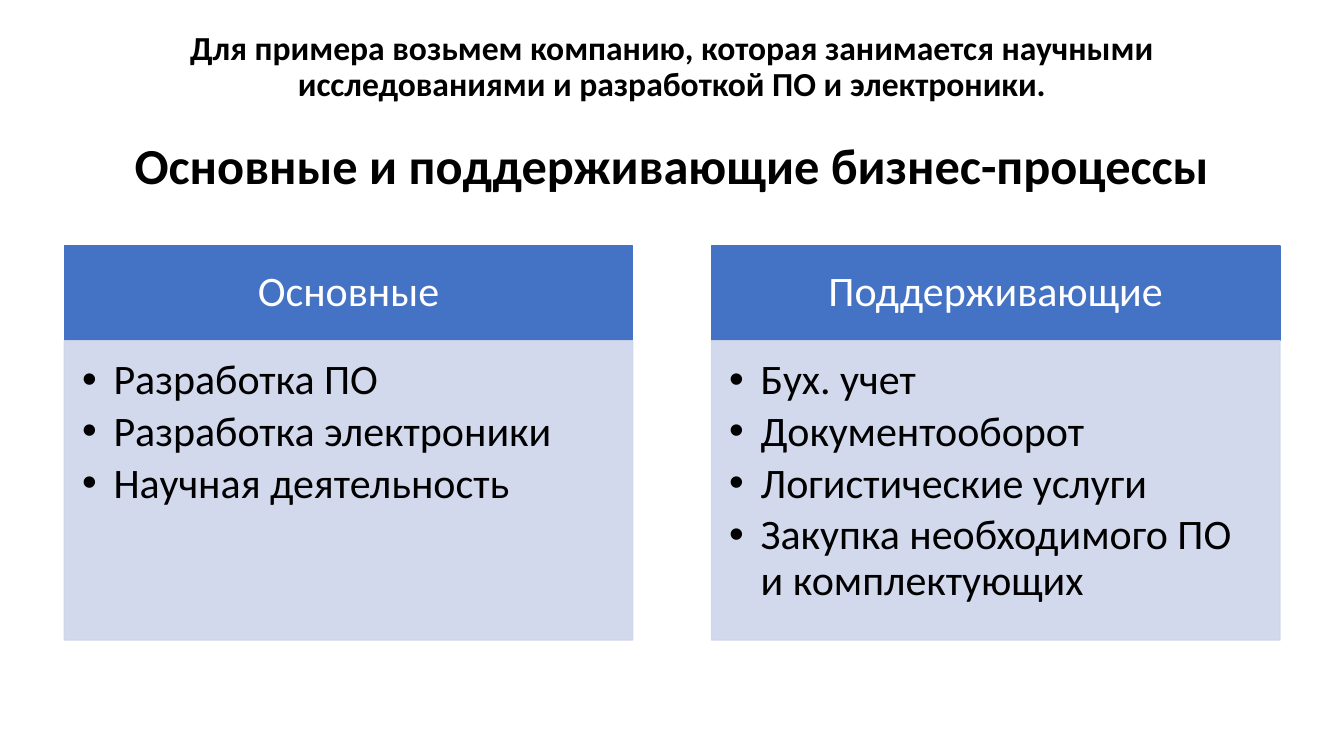
from lxml import etree
from pptx import Presentation
from pptx.dml.color import RGBColor
from pptx.enum.shapes import MSO_SHAPE
from pptx.enum.text import MSO_ANCHOR, PP_ALIGN
from pptx.oxml.ns import qn
from pptx.util import Pt

RECT = MSO_SHAPE.RECTANGLE
TOP, MIDDLE = MSO_ANCHOR.TOP, MSO_ANCHOR.MIDDLE
LEFT, CENTER = PP_ALIGN.LEFT, PP_ALIGN.CENTER

FONT = "Calibri"
BLACK, WHITE, BLUE, PALE = "000000", "FFFFFF", "4472C4", "CFD5EA"
COLUMN_LEFT, COLUMN_WIDTH, COLUMN_STEP = 46, 406, 462.25
HEAD_TOP, HEAD_HEIGHT, BODY_HEIGHT = 175.7, 67.7, 213.8

INTRO = ("Для примера возьмем компанию, которая занимается научными "
         "исследованиями и разработкой ПО и электроники.")
TITLE = "Основные и поддерживающие бизнес-процессы"
COLUMNS = [
    ("Основные",
     ["Разработка ПО", "Разработка электроники", "Научная деятельность"]),
    ("Поддерживающие",
     ["Бух. учет", "Документооборот", "Логистические услуги",
      "Закупка необходимого ПО и комплектующих"]),
]


def rgb(value):
    """Turn a hex string into a colour."""
    return RGBColor.from_string(value)


def set_frame(tf, anchor, insets):
    """Set wrapping, anchor and the left, top, right and bottom insets."""
    tf.word_wrap = True
    tf.vertical_anchor = anchor
    for side, inset in zip(("left", "top", "right", "bottom"), insets):
        setattr(tf, f"margin_{side}", Pt(inset))


def write(p, text, size, color, bold=False, **layout):
    """Fill a paragraph with one formatted run."""
    for name, value in {"line_spacing": 0.9, **layout}.items():
        setattr(p, name, value)
    r = p.add_run()
    r.text = text
    fmt = {"name": FONT, "size": Pt(size), "bold": bold}
    for name, value in fmt.items():
        setattr(r.font, name, value)
    r.font.color.rgb = rgb(color)


def add_bullet(p, indent):
    """Give a paragraph a round bullet with a hanging indent."""
    pPr = p._p.get_or_add_pPr()
    pPr.set("marL", str(Pt(indent)))
    pPr.set("indent", str(-Pt(indent)))
    etree.SubElement(pPr, qn("a:buFont")).set("typeface", "Arial")
    etree.SubElement(pPr, qn("a:buChar")).set("char", "•")


def add_panel(slide, left, top, height, color, opacity=100):
    """Draw a column rectangle and return it."""
    sp = slide.shapes.add_shape(RECT, Pt(left), Pt(top), Pt(COLUMN_WIDTH), Pt(height))
    sp.shadow.inherit = False
    sp.fill.solid()
    sp.fill.fore_color.rgb = rgb(color)
    sp.line.color.rgb = rgb(color)
    sp.line.width = Pt(1)
    if opacity < 100:
        for clr in sp._element.spPr.iter(qn("a:srgbClr")):
            etree.SubElement(clr, qn("a:alpha")).set("val", str(opacity * 1000))
    return sp


def add_heading(slide):
    """Add the introduction and the slide title."""
    tf = slide.shapes.add_textbox(Pt(66), Pt(28.8), Pt(828), Pt(104.4)).text_frame
    set_frame(tf, MIDDLE, (7.2, 3.6, 7.2, 3.6))
    write(tf.paragraphs[0], INTRO, 24, BLACK, True, alignment=CENTER)
    write(tf.add_paragraph(), TITLE, 36, BLACK, True,
          alignment=CENTER, space_before=Pt(26.4))


def add_column(slide, left, head, items):
    """Add a column header with its bulleted list."""
    tf = add_panel(slide, left, HEAD_TOP, HEAD_HEIGHT, BLUE).text_frame
    set_frame(tf, MIDDLE, (16.8, 9.6, 16.8, 9.6))
    write(tf.paragraphs[0], head, 30, WHITE, alignment=CENTER)

    body_top = HEAD_TOP + HEAD_HEIGHT
    tf = add_panel(slide, left, body_top, BODY_HEIGHT, PALE, 90).text_frame
    set_frame(tf, TOP, (12.6, 12.6, 16.8, 18.9))
    for i, item in enumerate(items):
        p = tf.add_paragraph() if i else tf.paragraphs[0]
        write(p, item, 30, BLACK, alignment=LEFT, space_after=Pt(4.5))
        add_bullet(p, 22.5)


def main():
    """Build the slide and save it."""
    prs = Presentation()
    prs.slide_width, prs.slide_height = Pt(960), Pt(540)
    slide = prs.slides.add_slide(prs.slide_layouts[6])
    add_heading(slide)
    for i, (head, items) in enumerate(COLUMNS):
        add_column(slide, COLUMN_LEFT + i * COLUMN_STEP, head, items)
    prs.save("out.pptx")


if __name__ == "__main__":
    main()
